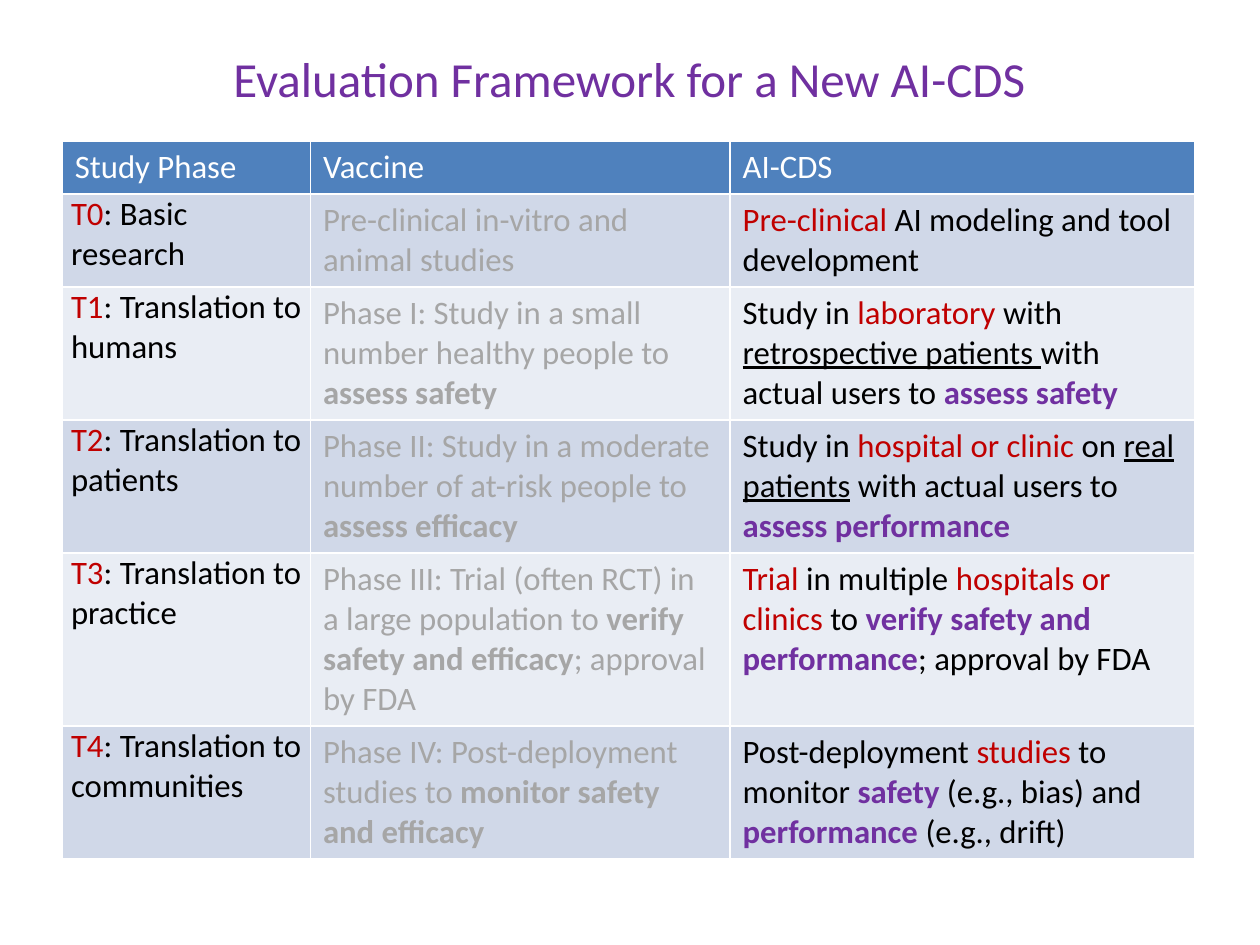
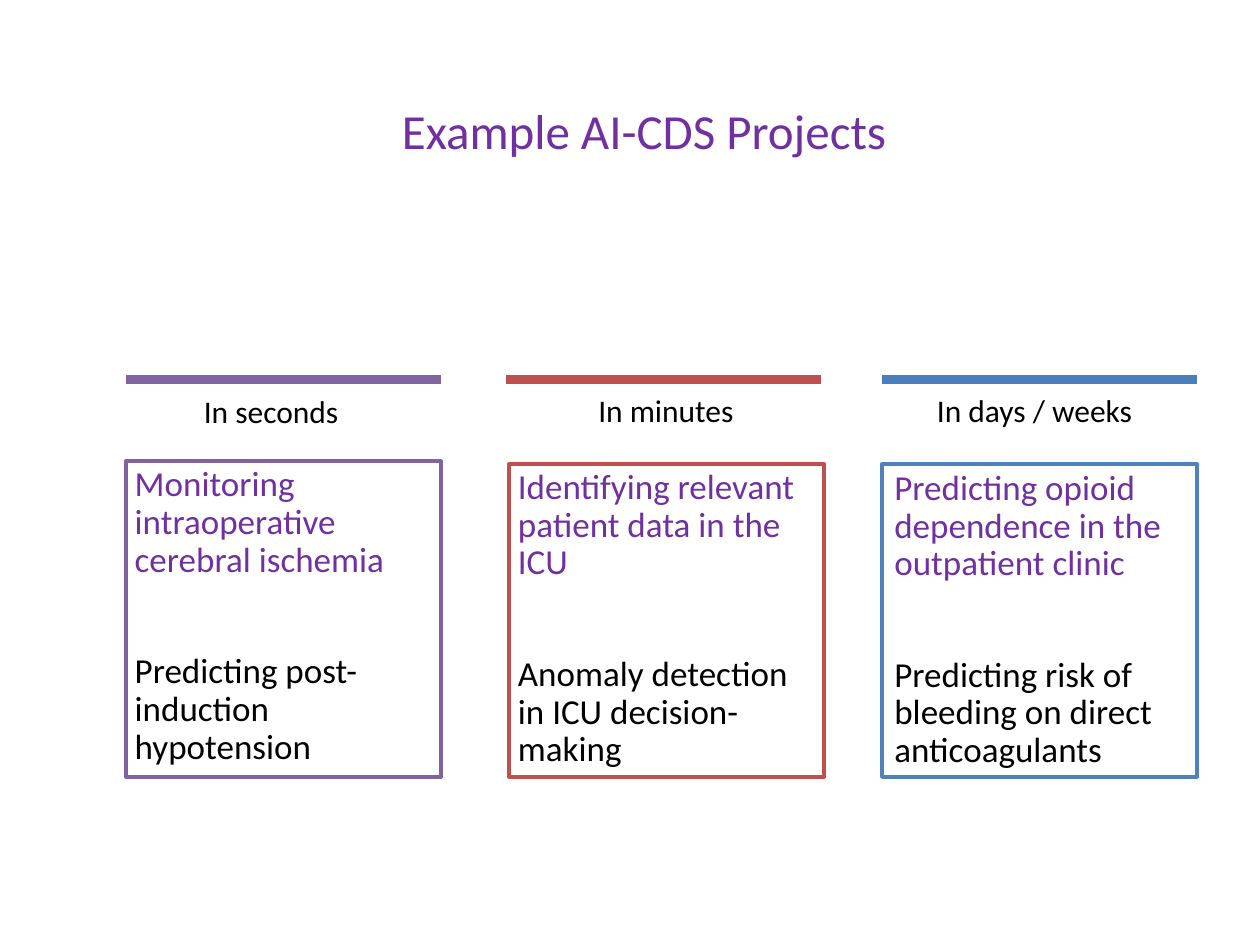
from lxml import etree
from pptx import Presentation
from pptx import util as u
from pptx.dml.color import RGBColor
from pptx.enum import shapes, text
from pptx.oxml.ns import qn

Pt = u.Pt
FONT = "Calibri"
COLOURS = {
    "purple": "7030A0", "red": "C00000", "black": "000000", "grey": "A6A6A6",
    "white": "FFFFFF", "header": "4F81BD", "band_dark": "D0D8E8",
    "band_light": "E9EDF4", "seconds": "8064A2", "minutes": "C0504D",
    "days": "4F81BD", "days_bar": "4B7EBC",
}
# style name: (colour, bold, underline)
STYLES = {
    "plain": ("black", False, False),
    "head": ("white", False, False),
    "key": ("red", False, False),
    "goal": ("purple", True, False),
    "topic": ("purple", False, False),
    "under": ("black", False, True),
    "faded": ("grey", False, False),
    "faded_goal": ("grey", True, False),
}

TABLE_SIZE = 18.7
COLUMN_WIDTHS = (141.8, 239.8, 265.7)
HEADINGS = ("Study Phase", "Vaccine", "AI-CDS")
# row height, phase, phase meaning, vaccine spans, AI-CDS spans
PHASES = [
    (53, "T0", "Basic research",
     [("Pre-clinical in-vitro and animal studies", "faded")],
     [("Pre-clinical", "key"), (" AI modeling and tool development", "plain")]),
    (75.6, "T1", "Translation to humans",
     [("Phase I: Study in a small number healthy people to ", "faded"),
      ("assess safety", "faded_goal")],
     [("Study in ", "plain"), ("laboratory", "key"), (" with ", "plain"),
      ("retrospective patients ", "under"), ("with actual users to ", "plain"),
      ("assess safety", "goal")]),
    (75.6, "T2", "Translation to patients",
     [("Phase II: Study in a moderate number of at-risk people to ", "faded"),
      ("assess efficacy", "faded_goal")],
     [("Study in ", "plain"), ("hospital or clinic", "key"), (" on ", "plain"),
      ("real patients", "under"), (" with actual users to ", "plain"),
      ("assess performance", "goal")]),
    (98.4, "T3", "Translation to practice",
     [("Phase III: Trial (often RCT) in a large population to ", "faded"),
      ("verify safety and efficacy", "faded_goal"),
      ("; approval by FDA", "faded")],
     [("Trial", "key"), (" in multiple ", "plain"),
      ("hospitals or clinics ", "key"), ("to ", "plain"),
      ("verify safety and performance", "goal"),
      ("; approval by FDA", "plain")]),
    (75.6, "T4", "Translation to communities",
     [("Phase IV: Post-deployment studies to ", "faded"),
      ("monitor safety and efficacy", "faded_goal")],
     [("Post-deployment ", "plain"), ("studies", "key"),
      (" to monitor ", "plain"), ("safety ", "goal"),
      ("(e.g., bias) and ", "plain"), ("performance", "goal"),
      (" (e.g., drift)", "plain")]),
]

BAR_TOP = 216.7
PANEL_WIDTH = 180
PANEL_BOTTOM = 444


def rgb(name):
    return RGBColor.from_string(COLOURS[name])


def add_spans(para, spans, size):
    for words, style in spans:
        colour, bold, underline = STYLES[style]
        span = para.add_run()
        span.text = words
        font = span.font
        font.name, font.size = FONT, Pt(size)
        font.bold, font.underline = bold, underline
        font.color.rgb = rgb(colour)


def set_margins(item, side, end):
    """Set the inner margins of a cell or a text frame."""
    item.margin_left = item.margin_right = Pt(side)
    item.margin_top = item.margin_bottom = Pt(end)


def add_page(deck, title, left, top, width):
    page = deck.slides.add_slide(deck.slide_layouts[5])
    box = page.shapes.title
    box.left, box.top, box.width, box.height = map(Pt, (left, top, width, 41))
    frame = box.text_frame
    frame.auto_size = text.MSO_AUTO_SIZE.NONE
    frame.vertical_anchor = text.MSO_ANCHOR.TOP
    para = frame.paragraphs[0]
    para.alignment = text.PP_ALIGN.CENTER
    add_spans(para, [(title, "topic")], 28)
    return page


def fill_cell(cell, spans, fill):
    cell.fill.solid()
    cell.fill.fore_color.rgb = rgb(fill)
    add_spans(cell.text_frame.paragraphs[0], spans, TABLE_SIZE)


def add_phase_table(page, left, top):
    heights = [30.3] + [phase[0] for phase in PHASES]
    table = page.shapes.add_table(
        len(heights), len(COLUMN_WIDTHS), Pt(left), Pt(top),
        Pt(sum(COLUMN_WIDTHS)), Pt(sum(heights))).table
    for column, width in zip(table.columns, COLUMN_WIDTHS):
        column.width = Pt(width)
    for row, height in zip(table.rows, heights):
        row.height = Pt(height)
    for column, heading in enumerate(HEADINGS):
        fill_cell(table.cell(0, column), [(heading, "head")], "header")
    for row, (_, phase, meaning, vaccine, ai_cds) in enumerate(PHASES, 1):
        band = "band_dark" if row % 2 else "band_light"
        label = [(phase, "key"), (f": {meaning}", "plain")]
        for column, spans in enumerate((label, vaccine, ai_cds)):
            fill_cell(table.cell(row, column), spans, band)
        set_margins(table.cell(row, 0), 5, 0)


def add_bar(page, left, colour):
    bar = page.shapes.add_connector(
        shapes.MSO_CONNECTOR.STRAIGHT, Pt(left), Pt(BAR_TOP),
        Pt(left + PANEL_WIDTH), Pt(BAR_TOP))
    bar.line.color.rgb = rgb(colour)
    bar.line.width = Pt(5)
    etree.SubElement(bar._element.spPr, qn("a:effectLst"))


def add_label(page, words, left, top, width):
    box = page.shapes.add_textbox(Pt(left), Pt(top), Pt(width), Pt(29))
    box.text_frame.word_wrap = True
    add_spans(box.text_frame.paragraphs[0], [(words, "plain")], 18)


def add_panel(page, left, top, colour, margins, projects):
    """Add an outlined box with a highlighted project above a plain one."""
    box = page.shapes.add_shape(
        shapes.MSO_SHAPE.RECTANGLE, Pt(left), Pt(top),
        Pt(PANEL_WIDTH), Pt(PANEL_BOTTOM - top))
    box.shadow.inherit = False
    box.fill.background()
    box.line.color.rgb = rgb(colour)
    box.line.width = Pt(2)
    frame = box.text_frame
    frame.word_wrap = True
    frame.vertical_anchor = text.MSO_ANCHOR.TOP
    set_margins(frame, *margins)
    highlighted, other = frame.paragraphs[0], frame.add_paragraph()
    other.space_before = Pt(42)
    for para, words, style in zip((highlighted, other), projects,
                                  ("topic", "plain")):
        para.alignment = text.PP_ALIGN.LEFT
        para.line_spacing = 0.9
        add_spans(para, [(words, style)], 20)


def main():
    deck = Presentation()
    deck.slide_width, deck.slide_height = Pt(720), Pt(540)

    page = add_page(deck, "Evaluation Framework for a New AI-CDS", 35.5, 24, 648)
    add_phase_table(page, 35.6, 80.5)

    page = add_page(deck, "Example AI-CDS Projects", 30, 54, 676)
    add_bar(page, 72, "seconds")
    add_label(page, "In seconds", 109.4, 220.5, 92)
    add_panel(page, 72, 263.5, "seconds", (5, 3),
              ("Monitoring intraoperative cerebral ischemia",
               "Predicting post-induction hypotension"))
    add_bar(page, 289.4, "minutes")
    add_label(page, "In minutes", 334.8, 219.8, 92)
    add_panel(page, 291, 265, "minutes", (5, 3),
              ("Identifying relevant patient data in the ICU",
               "Anomaly detection in ICU decision-making"))
    add_bar(page, 504, "days_bar")
    add_label(page, "In days / weeks", 528.3, 219.8, 131)
    add_panel(page, 504, 265, "days", (7.2, 3.6),
              ("Predicting opioid dependence in the outpatient clinic",
               "Predicting risk of bleeding on direct anticoagulants"))

    deck.save("out.pptx")


if __name__ == "__main__":
    main()
